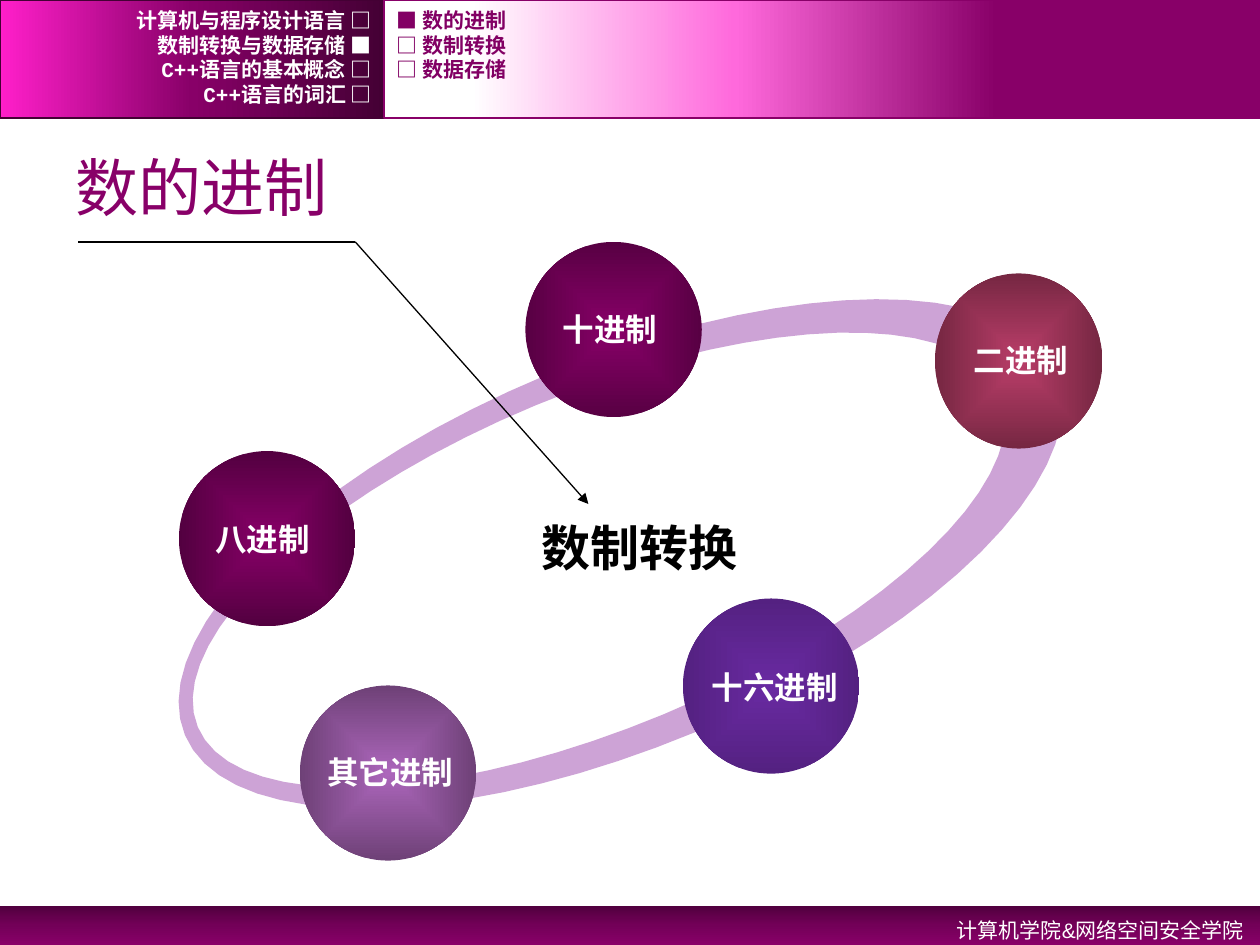
"""Build the slide on number bases: a tilted ring of five spheres under a navigation header."""
from math import cos, pi, sin
from typing import NamedTuple, Optional

from pptx import Presentation
from pptx.dml.color import RGBColor
from pptx.enum.shapes import MSO_CONNECTOR, MSO_SHAPE
from pptx.enum.text import MSO_ANCHOR as Anchor, MSO_AUTO_SIZE as AutoSize, PP_ALIGN as Align
from pptx.oxml import parse_xml
from pptx.oxml.ns import nsdecls, qn
from pptx.util import Emu, Pt

COLUMNS, ROWS = 100, 75
CELL = 91440

WHITE = RGBColor(0xFF, 0xFF, 0xFF)
BLACK = RGBColor(0x00, 0x00, 0x00)
PLUM = RGBColor(0x88, 0x00, 0x68)
PLUM_TEXT = RGBColor(0x82, 0x00, 0x64)
PLUM_MID = RGBColor(0x73, 0x00, 0x58)
PLUM_DEEP = RGBColor(0x51, 0x00, 0x3E)
PLUM_DARK = RGBColor(0x44, 0x00, 0x34)
MAGENTA = RGBColor(0xFF, 0x1F, 0xCA)
PINK = RGBColor(0xFF, 0x69, 0xDC)
LILAC = RGBColor(0xCD, 0xA3, 0xD6)
ORCHID = RGBColor(0xAC, 0x66, 0xBB)
VIOLET = RGBColor(0x69, 0x2A, 0xA2)
ROSE = RGBColor(0xB8, 0x3D, 0x68)


class Area(NamedTuple):
    left: float
    top: float
    width: float
    height: float


class Stop(NamedTuple):
    percent: int
    color: RGBColor
    shade: int = 100


class Band(NamedTuple):
    area: Area
    stops: list
    angle: int
    outline: Optional[RGBColor] = None


class Sphere(NamedTuple):
    area: Area
    color: RGBColor
    shade: int
    name: str
    label: Area


class Style(NamedTuple):
    size: int
    color: RGBColor
    font: str = "Arial"
    bold: bool = True
    align: Align = Align.LEFT


class Menu(NamedTuple):
    left: float
    width: float
    style: Style
    entries: list


class Oval(NamedTuple):
    x: float
    y: float
    half_width: float
    half_height: float


HEADER_SPLIT, HEADER_HEIGHT, FOOTER_TOP = 30.5, 9.4, 71.9
BANDS = [
    Band(Area(0, FOOTER_TOP, COLUMNS, ROWS - FOOTER_TOP),
         [Stop(0, PLUM_DEEP), Stop(50, PLUM_MID), Stop(100, PLUM)], 90),
    Band(Area(0, 0, HEADER_SPLIT, HEADER_HEIGHT),
         [Stop(0, PLUM_DARK), Stop(50, PLUM), Stop(100, MAGENTA)], 180, PLUM_DARK),
    Band(Area(HEADER_SPLIT, 0, COLUMNS - HEADER_SPLIT, HEADER_HEIGHT),
         [Stop(30, PLUM), Stop(60, PINK), Stop(90, WHITE)], 180, PLUM),
]
MENU_TOP, MENU_PITCH = 0.6, 1.96
MENUS = [
    Menu(0, HEADER_SPLIT, Style(12, WHITE, "Courier New", align=Align.RIGHT),
         ["计算机与程序设计语言 □", "数制转换与数据存储 ■", "C++语言的基本概念 □", "C++语言的词汇 □"]),
    Menu(HEADER_SPLIT, 60.2, Style(12, PLUM_TEXT, "Courier New"),
         ["■ 数的进制", "□ 数制转换", "□ 数据存储"]),
]
SPHERES = [
    Sphere(Area(41.7, 19.2, 14, 13.9), PLUM, 37, "十进制", Area(43.7, 24.1, 9.6, 4)),
    Sphere(Area(14.2, 35.8, 14, 13.9), PLUM, 33, "八进制", Area(16.1, 40.8, 9.6, 4)),
    Sphere(Area(23.8, 54.4, 14, 13.9), ORCHID, 36, "其它进制", Area(25, 59.3, 12.1, 4)),
    Sphere(Area(54.2, 47.5, 14, 13.9), VIOLET, 60, "十六进制", Area(55.5, 52.5, 12.1, 4)),
    Sphere(Area(74.2, 21.7, 13.3, 13.9), ROSE, 36, "二进制", Area(76.3, 26.6, 9.6, 4)),
]
RING_OUTER = Oval(49.25, 43.95, 37.45, 15.35)
RING_INNER = Oval(47.49, 43.76, 34.5, 13.27)
RING_TILT, RING_STEPS = 337.4, 72
POINTER_BEND = (28.2, 19.2)


def grid(*cells: float) -> list:
    """Turn grid cells into slide lengths."""
    return [Emu(round(cell * CELL)) for cell in cells]


def paint_gradient(shape, stops: list, direction: str) -> None:
    """Fill a shape with the stops along the given direction element."""
    marks = "".join(
        f'<a:gs pos="{stop.percent * 1000}"><a:srgbClr val="{stop.color}">'
        + (f'<a:shade val="{stop.shade * 1000}"/>' if stop.shade < 100 else "")
        + "</a:srgbClr></a:gs>" for stop in stops)
    shape.fill.background()
    properties = shape._element.spPr
    properties.replace(properties.find(qn("a:noFill")), parse_xml(
        f'<a:gradFill {nsdecls("a")} rotWithShape="1"><a:gsLst>{marks}</a:gsLst>{direction}</a:gradFill>'))


def draw_band(slide, band: Band) -> None:
    """Draw a header or footer bar."""
    bar = slide.shapes.add_shape(MSO_SHAPE.RECTANGLE, *grid(*band.area))
    bar.shadow.inherit = False
    paint_gradient(bar, band.stops, f'<a:lin ang="{band.angle * 60000}" scaled="0"/>')
    if band.outline is None:
        bar.line.fill.background()
    else:
        bar.line.color.rgb = band.outline
        bar.line.width = Pt(1)


def format_text(frame, text: str, style: Style) -> None:
    """Write one styled paragraph into a text frame."""
    frame.text = text
    paragraph = frame.paragraphs[0]
    paragraph.alignment = style.align
    font = paragraph.font
    font.name, font.size, font.bold = style.font, Pt(style.size), style.bold
    font.color.rgb = style.color


def draw_text(slide, area: Area, text: str, style: Style, wrap: bool = True,
              fit: AutoSize = AutoSize.SHAPE_TO_FIT_TEXT, anchor: Anchor = Anchor.TOP):
    """Add a text box and return its frame."""
    frame = slide.shapes.add_textbox(*grid(*area)).text_frame
    frame.word_wrap, frame.auto_size, frame.vertical_anchor = wrap, fit, anchor
    format_text(frame, text, style)
    return frame


def draw_menu(slide, menu: Menu) -> None:
    """Draw the evenly spaced entries of a header menu."""
    for row, entry in enumerate(menu.entries):
        draw_text(slide, Area(menu.left, MENU_TOP + row * MENU_PITCH, menu.width, 2), entry,
                  menu.style, fit=AutoSize.NONE, anchor=Anchor.MIDDLE)


def oval_points(oval: Oval) -> list:
    """List the points around an oval."""
    angles = [2 * pi * step / RING_STEPS for step in range(RING_STEPS)]
    return [grid(oval.x + oval.half_width * cos(angle), oval.y + oval.half_height * sin(angle))
            for angle in angles]


def draw_ring(slide) -> None:
    """Draw the tilted ring with its off-centre hole."""
    outer, inner = oval_points(RING_OUTER), oval_points(RING_INNER)[::-1]
    builder = slide.shapes.build_freeform(*outer[0])
    builder.add_line_segments(outer[1:], close=True)
    builder.move_to(*inner[0])
    builder.add_line_segments(inner[1:], close=True)
    ring = builder.convert_to_shape()
    ring.rotation = RING_TILT
    ring.shadow.inherit = False
    ring.fill.solid()
    ring.fill.fore_color.rgb = LILAC
    ring.line.fill.background()


def draw_sphere(slide, sphere: Sphere) -> None:
    """Draw a ball that darkens towards its rim."""
    ball = slide.shapes.add_shape(MSO_SHAPE.OVAL, *grid(*sphere.area))
    ball.shadow.inherit = False
    ball.line.fill.background()
    paint_gradient(ball, [Stop(0, sphere.color), Stop(100, sphere.color, sphere.shade)],
                   '<a:path path="shape"><a:fillToRect l="50000" t="50000" r="50000" b="50000"/></a:path>')


def draw_pointer(slide, end: tuple, arrow: bool = False) -> None:
    """Draw one leg of the pointer from its bend."""
    leg = slide.shapes.add_connector(MSO_CONNECTOR.STRAIGHT, *grid(*POINTER_BEND, *end))
    leg.line.color.rgb = BLACK
    leg.line.width = Pt(0.75)
    if arrow:
        leg.line._get_or_add_ln().append(parse_xml(f'<a:tailEnd {nsdecls("a")} type="triangle"/>'))
    leg._element.spPr.append(parse_xml(f'<a:effectLst {nsdecls("a")}/>'))


def main() -> None:
    """Assemble and save the slide."""
    deck = Presentation()
    deck.slide_width, deck.slide_height = grid(COLUMNS, ROWS)
    slide = deck.slides.add_slide(deck.slide_layouts[5])
    for band in BANDS:
        draw_band(slide, band)
    footer = draw_text(slide, Area(64.2, FOOTER_TOP, 35.5, 3.2), "计算机学院&网络空间安全学院",
                       Style(12, WHITE, bold=False, align=Align.RIGHT))
    footer.paragraphs[0].line_spacing = 1.2
    title = slide.shapes.title
    title.left, title.top, title.width, title.height = grid(5, 10.9, 90, 7.8)
    title.text_frame.vertical_anchor = Anchor.MIDDLE
    format_text(title.text_frame, "数的进制", Style(36, PLUM, bold=False))
    draw_ring(slide)
    for sphere in SPHERES:
        draw_sphere(slide, sphere)
    for sphere in SPHERES:
        draw_text(slide, sphere.label, sphere.name, Style(18, WHITE), wrap=False)
    draw_text(slide, Area(36.6, 40.6, 28.3, 5.7), "数制转换", Style(28, BLACK, align=Align.CENTER))
    draw_pointer(slide, (46.7, 40), arrow=True)
    draw_pointer(slide, (6.2, 19.2))
    for menu in MENUS:
        draw_menu(slide, menu)
    deck.save("out.pptx")


if __name__ == "__main__":
    main()
